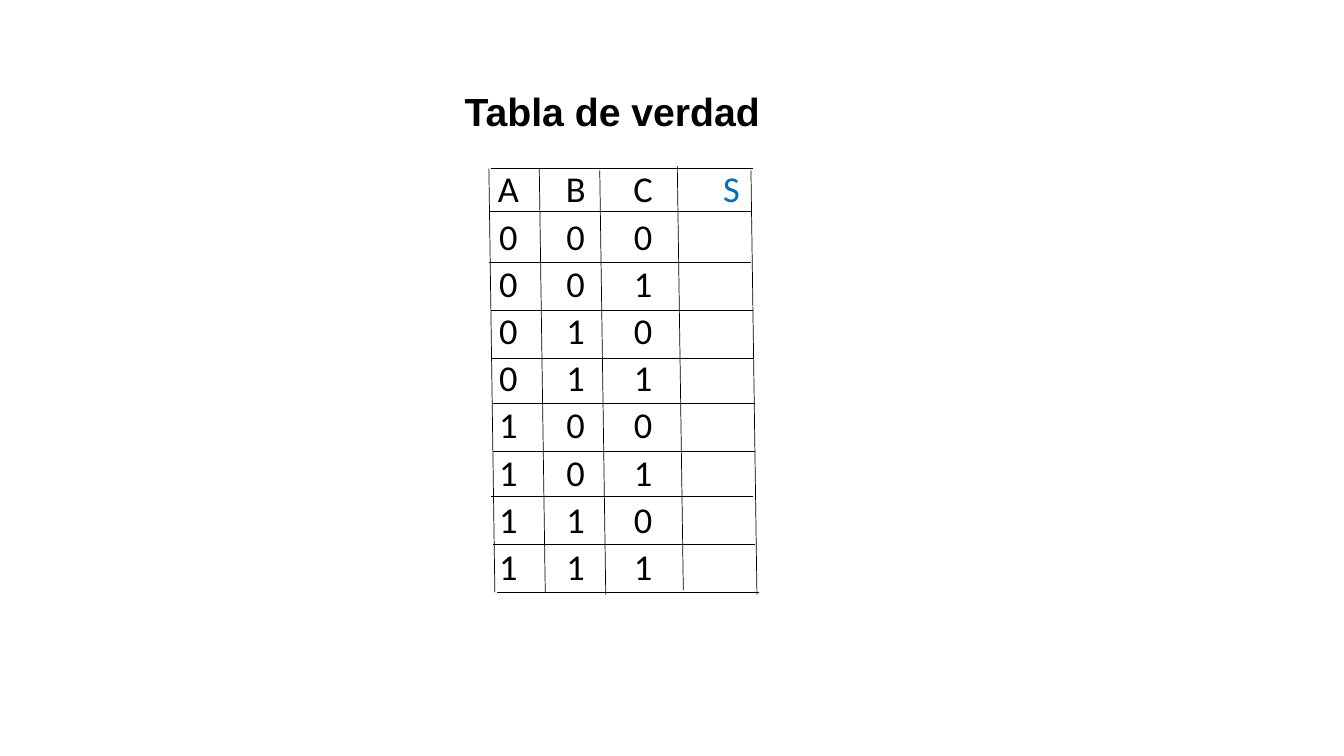
from dataclasses import dataclass
from itertools import product

from lxml.etree import SubElement
from pptx import Presentation
from pptx.dml.color import RGBColor
from pptx.enum.shapes import MSO_CONNECTOR
from pptx.enum.text import MSO_ANCHOR, MSO_AUTO_SIZE, PP_ALIGN
from pptx.oxml.ns import qn
from pptx.slide import Slide
from pptx.table import _Cell
from pptx.text.text import Font
from pptx.util import Pt

BLACK = RGBColor(0x00, 0x00, 0x00)
WHITE = RGBColor(0xFF, 0xFF, 0xFF)
BLUE = RGBColor(0x00, 0x70, 0xC0)

TITLE_FORMAT = {"name": "Arial", "size": Pt(28), "bold": True}
CELL_FORMAT = {"name": "Calibri", "size": Pt(26), "bold": False}
CELL_LAYOUT = {
    "vertical_anchor": MSO_ANCHOR.BOTTOM,
    "margin_left": Pt(0.7),
    "margin_right": Pt(0.7),
    "margin_top": Pt(0.7),
    "margin_bottom": Pt(0),
}

HEADERS = ("A", "B", "C", "S")
INPUT_ROWS = list(product("01", repeat=3))
COLUMN_WIDTHS = (48.1, 48.1, 48.1, 78.3)
ROW_HEIGHT = 33.75


@dataclass(frozen=True)
class RuleSet:
    """Parallel rules that share one run and rise."""

    starts: tuple[tuple[float, float], ...]
    width: float
    height: float


ROW_RULES = RuleSet(
    starts=(
        (349.2, 151.2), (349.2, 187.2), (350.6, 221.8), (350.6, 256.3), (352.1, 288),
        (352.1, 322.6), (350.6, 354.2), (352.1, 388.8), (355, 423.4), (350.6, 120.2),
    ),
    width=187.2,
    height=0,
)
COLUMN_RULES = RuleSet(
    starts=((349.2, 120.2), (385.2, 120.2), (428.4, 121.7), (483.8, 118.6), (536.4, 121.7)),
    width=4.3,
    height=303,
)


def format_font(font: Font, values: dict, color: RGBColor) -> None:
    for name, value in values.items():
        setattr(font, name, value)
    font.color.rgb = color


def add_title(slide: Slide) -> None:
    title = slide.shapes.title
    title.left, title.top, title.width, title.height = Pt(324.7), Pt(61.9), Pt(247.7), Pt(38.2)
    frame = title.text_frame
    frame.text = "Tabla de verdad"
    frame.word_wrap = True
    frame.vertical_anchor = MSO_ANCHOR.MIDDLE
    frame.auto_size = MSO_AUTO_SIZE.SHAPE_TO_FIT_TEXT
    paragraph = frame.paragraphs[0]
    paragraph.alignment = PP_ALIGN.LEFT
    paragraph.line_spacing = 0.9
    format_font(paragraph.font, TITLE_FORMAT, BLACK)


def set_white_borders(cell: _Cell) -> None:
    properties = cell._tc.get_or_add_tcPr()
    for side in ("a:lnL", "a:lnR", "a:lnT", "a:lnB"):
        border = SubElement(properties, qn(side), w=str(Pt(1)))
        fill = SubElement(border, qn("a:solidFill"))
        SubElement(fill, qn("a:srgbClr"), val=str(WHITE))


def fill_cell(cell: _Cell, text: str, color: RGBColor) -> None:
    set_white_borders(cell)
    cell.fill.solid()
    cell.fill.fore_color.rgb = WHITE
    for name, value in CELL_LAYOUT.items():
        setattr(cell, name, value)
    cell.text = text
    paragraph = cell.text_frame.paragraphs[0]
    paragraph.alignment = PP_ALIGN.CENTER
    format_font(paragraph.font, CELL_FORMAT, color)


def add_truth_table(slide: Slide) -> None:
    rows = [HEADERS] + [(*inputs, "") for inputs in INPUT_ROWS]
    table = slide.shapes.add_table(
        len(rows), len(HEADERS), Pt(339.1), Pt(118.1),
        Pt(sum(COLUMN_WIDTHS)), Pt(ROW_HEIGHT * len(rows)),
    ).table
    table.first_row = False
    table.horz_banding = False
    for column, width in zip(table.columns, COLUMN_WIDTHS):
        column.width = Pt(width)
    for row, texts in zip(table.rows, rows):
        row.height = Pt(ROW_HEIGHT)
        for cell, text in zip(row.cells, texts):
            fill_cell(cell, text, BLUE if text == "S" else BLACK)


def add_rules(slide: Slide, rules: RuleSet) -> None:
    for left, top in rules.starts:
        rule = slide.shapes.add_connector(
            MSO_CONNECTOR.STRAIGHT, Pt(left), Pt(top),
            Pt(left + rules.width), Pt(top + rules.height),
        )
        rule.line.color.rgb = BLACK
        rule.line.width = Pt(0.5)
        SubElement(rule._element.spPr, qn("a:effectLst"))


def main() -> None:
    presentation = Presentation()
    presentation.slide_width, presentation.slide_height = Pt(960), Pt(540)
    slide = presentation.slides.add_slide(presentation.slide_layouts.get_by_name("Title Only"))
    add_title(slide)
    add_truth_table(slide)
    for rules in (ROW_RULES, COLUMN_RULES):
        add_rules(slide, rules)
    presentation.save("out.pptx")


if __name__ == "__main__":
    main()
